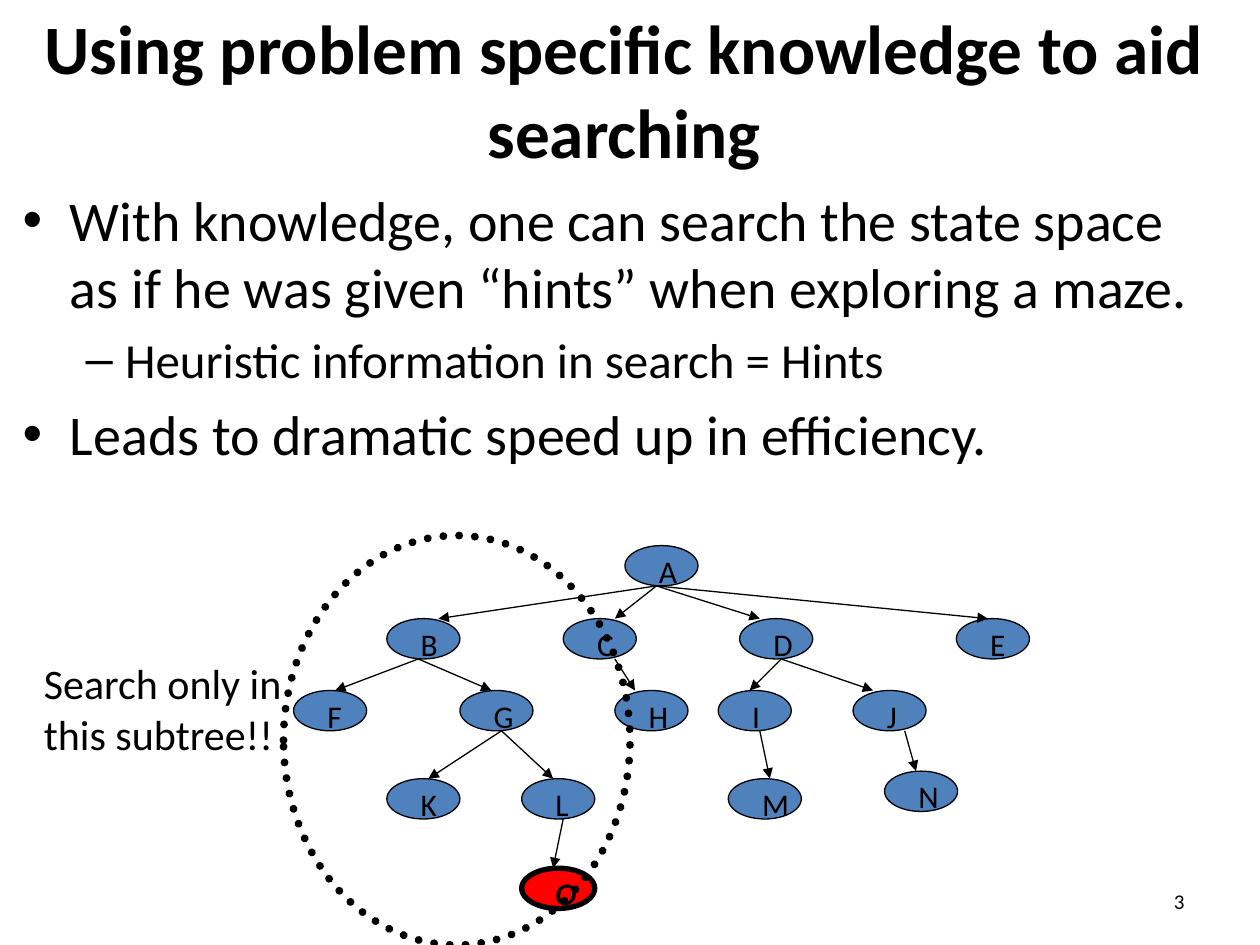
from dataclasses import dataclass
from pptx import Presentation
from pptx.dml.color import RGBColor as RGB
from pptx.enum.dml import MSO_LINE as Dash
from pptx.enum.shapes import MSO_CONNECTOR as Conn, MSO_SHAPE as Shape
from pptx.enum.text import MSO_ANCHOR as Anchor, PP_ALIGN as Align
from pptx.oxml.ns import qn
from pptx.util import Inches, Pt
from lxml import etree


@dataclass(frozen=True)
class Theme:
    font: str = "Calibri"
    ink: RGB = RGB(0, 0, 0)
    node: RGB = RGB(0x4F, 0x81, 0xBD)
    goal: RGB = RGB(0xFF, 0, 0)
    title: float = 39.6
    body: tuple = (32, 28)
    note: int = 24
    label: int = 18
    number: int = 12
    thin: float = 0.75
    bold: float = 3
    dots: float = 4.5


THEME = Theme()
NODE_W, NODE_H = 0.58, 0.32
ROWS = (0, 0.58, 1.15, 1.85, 2.56)

# name: left, top, parent, arrow entry from the node's left
NODES = {
    "A": (2.63, ROWS[0], None, 0),
    "B": (0.74, ROWS[1], "A", 0.41),
    "C": (2.14, ROWS[1], "A", 0.41),
    "D": (3.54, ROWS[1], "A", 0.16),
    "E": (5.26, ROWS[1], "A", 0.25),
    "F": (0, ROWS[2], "B", 0.33),
    "G": (1.32, ROWS[2], "B", 0.25),
    "H": (2.55, ROWS[2], "C", 0.16),
    "I": (3.37, ROWS[2], "D", 0.25),
    "J": (4.44, ROWS[2], "D", 0.16),
    "K": (0.74, ROWS[3], "G", 0.33),
    "L": (1.81, ROWS[3], "G", 0.25),
    "M": (3.45, ROWS[3], "I", 0.33),
    "N": (4.69, 1.79, "J", 0.25),
    "O": (1.81, ROWS[4], "L", 0.25),
}
# Arrow exit from each parent's left
EXITS = {"A": 0.25, "B": 0.25, "C": 0.41, "D": 0.33,
         "G": 0.33, "I": 0.33, "J": 0.41, "L": 0.33}
GOAL = "O"


def place(shape, box):
    shape.left, shape.top, shape.width, shape.height = map(Inches, box)


def style(para, size, strong=None, slant=None):
    for run in para.runs:
        font = run.font
        font.name, font.size = THEME.font, Pt(size)
        font.bold, font.italic = strong, slant
        font.color.rgb = THEME.ink


def add_text(shapes, box, text, size, align=Align.LEFT, **looks):
    label = shapes.add_textbox(*map(Inches, box))
    frame = label.text_frame
    frame.word_wrap = True
    frame.text = text
    frame.paragraphs[0].alignment = align
    style(frame.paragraphs[0], size, **looks)
    return frame


def add_oval(shapes, box, fill, width):
    oval = shapes.add_shape(Shape.OVAL, *map(Inches, box))
    oval.shadow.inherit = False
    if fill is None:
        oval.fill.background()
    else:
        oval.fill.solid()
        oval.fill.fore_color.rgb = fill
    oval.line.color.rgb = THEME.ink
    oval.line.width = Pt(width)
    return oval


def add_arrow(shapes, start, end):
    arrow = shapes.add_connector(Conn.STRAIGHT, *map(Inches, start + end))
    arrow.line.color.rgb = THEME.ink
    arrow.line.width = Pt(THEME.thin)
    props = arrow._element.spPr
    etree.SubElement(props.find(qn("a:ln")), qn("a:tailEnd"), type="triangle")
    etree.SubElement(props, qn("a:effectLst"))


def add_title(slide, box):
    title = slide.shapes.title
    place(title, box)
    frame = title.text_frame
    frame.text = "Using problem specific knowledge to aid searching"
    frame.vertical_anchor = Anchor.MIDDLE
    frame.paragraphs[0].alignment = Align.CENTER
    style(frame.paragraphs[0], THEME.title, strong=True)


def add_body(slide, box):
    body = slide.placeholders[1]
    place(body, box)
    lines = (
        (0, "With knowledge, one can search the state space as if he was "
            "given “hints” when exploring a maze."),
        (1, "Heuristic information in search = Hints"),
        (0, "Leads to dramatic speed up in efficiency."),
    )
    frame = body.text_frame
    frame.text = "\n".join(text for _, text in lines)
    for para, (level, _) in zip(frame.paragraphs, lines):
        para.level = level
        style(para, THEME.body[level])


def add_tree(slide, box):
    x, y = box[:2]
    shapes = slide.shapes.add_group_shape().shapes
    # Nodes with their letters
    for name, (left, top, _, _) in NODES.items():
        goal = name == GOAL
        add_oval(shapes, (x + left, y + top, NODE_W, NODE_H),
                 THEME.goal if goal else THEME.node,
                 THEME.bold if goal else THEME.thin)
        add_text(shapes, (x + left + 0.17, y + top, 0.41, 0.4), name,
                 THEME.label, strong=goal, slant=goal)
    # Arrows from parent to child
    for left, top, parent, entry in NODES.values():
        if parent:
            start = NODES[parent]
            add_arrow(shapes,
                      (x + start[0] + EXITS[parent], y + start[1] + NODE_H),
                      (x + left + entry, y + top))


def add_hint(slide, box):
    # Dotted ring around the subtree, with its note at the left
    x, y = box[:2]
    ring = add_oval(slide.shapes, (x + 2, y, 2.75, 3.25), None, THEME.dots)
    ring.line.dash_style = Dash.ROUND_DOT
    ring._element.spPr.find(qn("a:ln")).set("cap", "rnd")
    add_text(slide.shapes, (x, y + 0.92, 2.37, 0.91),
             "Search only in this subtree!!", THEME.note)


def add_number(slide, box):
    frame = add_text(slide.shapes, box, "3", THEME.number, Align.RIGHT)
    frame.vertical_anchor = Anchor.MIDDLE


def main():
    deck = Presentation()
    deck.slide_width, deck.slide_height = Inches(10), Inches(7.5)
    slide = deck.slides.add_slide(deck.slide_layouts[1])
    add_title(slide, (0.08, 0.08, 9.75, 1.25))
    add_body(slide, (0.08, 1.42, 9.75, 5.42))
    add_number(slide, (7.17, 6.95, 2.33, 0.4))
    add_tree(slide, (2.33, 4.33, 5.84, 2.88))
    add_hint(slide, (0.25, 4.25, 4.75, 3.25))
    deck.save("out.pptx")


if __name__ == "__main__":
    main()
